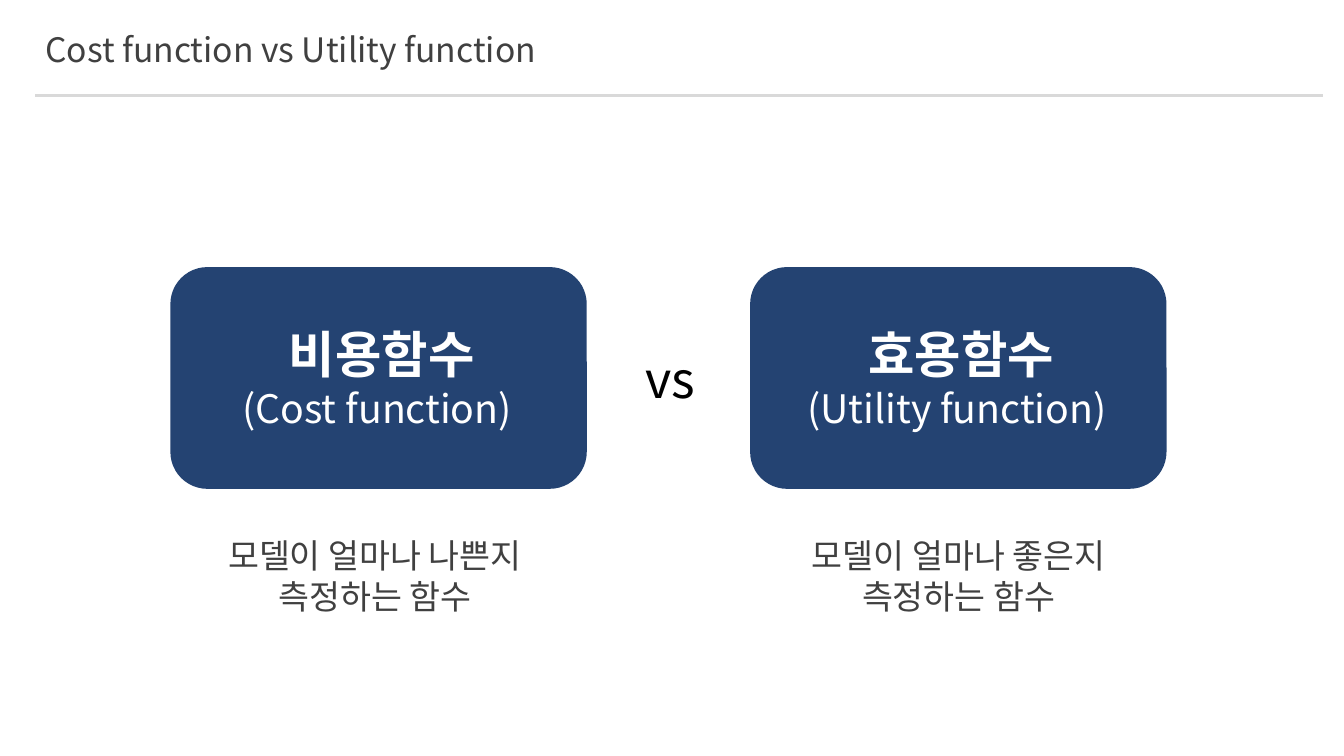
from dataclasses import dataclass

from lxml import etree
from pptx import Presentation
from pptx import util as u
from pptx.dml.color import RGBColor
from pptx.enum import shapes, text
from pptx.oxml import ns

# Grid: square cells of a tenth of an inch
COLUMNS, ROWS = 133.3, 75
CARD_WIDTH, TEXT_WIDTH = 41.3, 47.5


@dataclass(frozen=True)
class Theme:
    font: str = "Noto Sans CJK KR"
    navy: str = "244372"
    ink: str = "404040"
    rule: str = "D9D9D9"
    white: str = "FFFFFF"
    black: str = "000000"
    heading: int = 36
    subheading: int = 28
    body: int = 24


THEME = Theme()


def cells(*counts):
    """Turn counts of grid cells into lengths."""
    return [u.Inches(count / 10) for count in counts]


def write(box, lines, align):
    """Fill a text shape; each line is (wording, size, colour, bold)."""
    frame = box.text_frame
    frame.word_wrap = True
    frame.auto_size = text.MSO_AUTO_SIZE.SHAPE_TO_FIT_TEXT
    frame.vertical_anchor = text.MSO_ANCHOR.TOP
    for index, (wording, size, colour, bold) in enumerate(lines):
        para = frame.add_paragraph() if index else frame.paragraphs[0]
        para.alignment = align
        span = para.add_run()
        span.text = wording
        span.font.size = u.Pt(size)
        span.font.bold = bold
        span.font.name = THEME.font
        span.font.color.rgb = RGBColor.from_string(colour)
        # Korean glyphs take the East Asian typeface
        east_asian = etree.SubElement(span.font._element, ns.qn("a:ea"))
        east_asian.set("typeface", THEME.font)


def add_title(page, wording):
    title = page.shapes.title
    title.left, title.top, title.width, title.height = cells(3.5, 2.4, 63.1, 5)
    write(title, [(wording, THEME.body, THEME.ink, False)], text.PP_ALIGN.LEFT)


def add_rule(page, left, right, row):
    rule = page.shapes.add_connector(
        shapes.MSO_CONNECTOR.STRAIGHT, *cells(left, row, right, row))
    rule.line.color.rgb = RGBColor.from_string(THEME.rule)
    rule.line.width = u.Pt(2)
    etree.SubElement(rule._element.spPr, ns.qn("a:effectLst"))


def add_label(page, place, lines):
    box = page.shapes.add_textbox(*cells(*place))
    write(box, lines, text.PP_ALIGN.CENTER)


def add_card(page, left):
    card = page.shapes.add_shape(
        shapes.MSO_SHAPE.ROUNDED_RECTANGLE, *cells(left, 26.5, CARD_WIDTH, 22))
    card.shadow.inherit = False
    card.fill.solid()
    card.fill.fore_color.rgb = RGBColor.from_string(THEME.navy)
    card.line.fill.background()


def add_function(page, left, korean, english, description, shift):
    """A card with its two names and, below it, what the function measures."""
    add_card(page, left)
    text_left = left - (TEXT_WIDTH - CARD_WIDTH) / 2
    add_label(page, (text_left + 0.3, 31.6, TEXT_WIDTH, 11.8), [
        (korean, THEME.heading, THEME.white, True),
        (english, THEME.subheading, THEME.white, False)])
    add_label(page, (text_left + shift, 52.6, TEXT_WIDTH, 9.1), [
        (line, THEME.body, THEME.ink, False) for line in description])


def main():
    deck = Presentation()
    deck.slide_width, deck.slide_height = cells(COLUMNS, ROWS)
    page = deck.slides.add_slide(deck.slide_layouts.get_by_name("Title Only"))

    # Header
    add_title(page, "Cost function vs Utility function")
    add_rule(page, 3.5, 131.2, 9.5)

    # Comparison
    add_function(page, 16.9, "비용함수", "(Cost function) ",
                 ["모델이 얼마나 나쁜지 ", "측정하는 함수 "], 0)
    add_function(page, 74.4, "효용함수", "(Utility function) ",
                 ["모델이 얼마나 좋은지 ", "측정하는 함수 "], 0.4)
    add_label(page, (59, 34, 14.9, 7.1),
              [("vs", THEME.heading, THEME.black, False)])

    deck.save("out.pptx")


if __name__ == "__main__":
    main()
